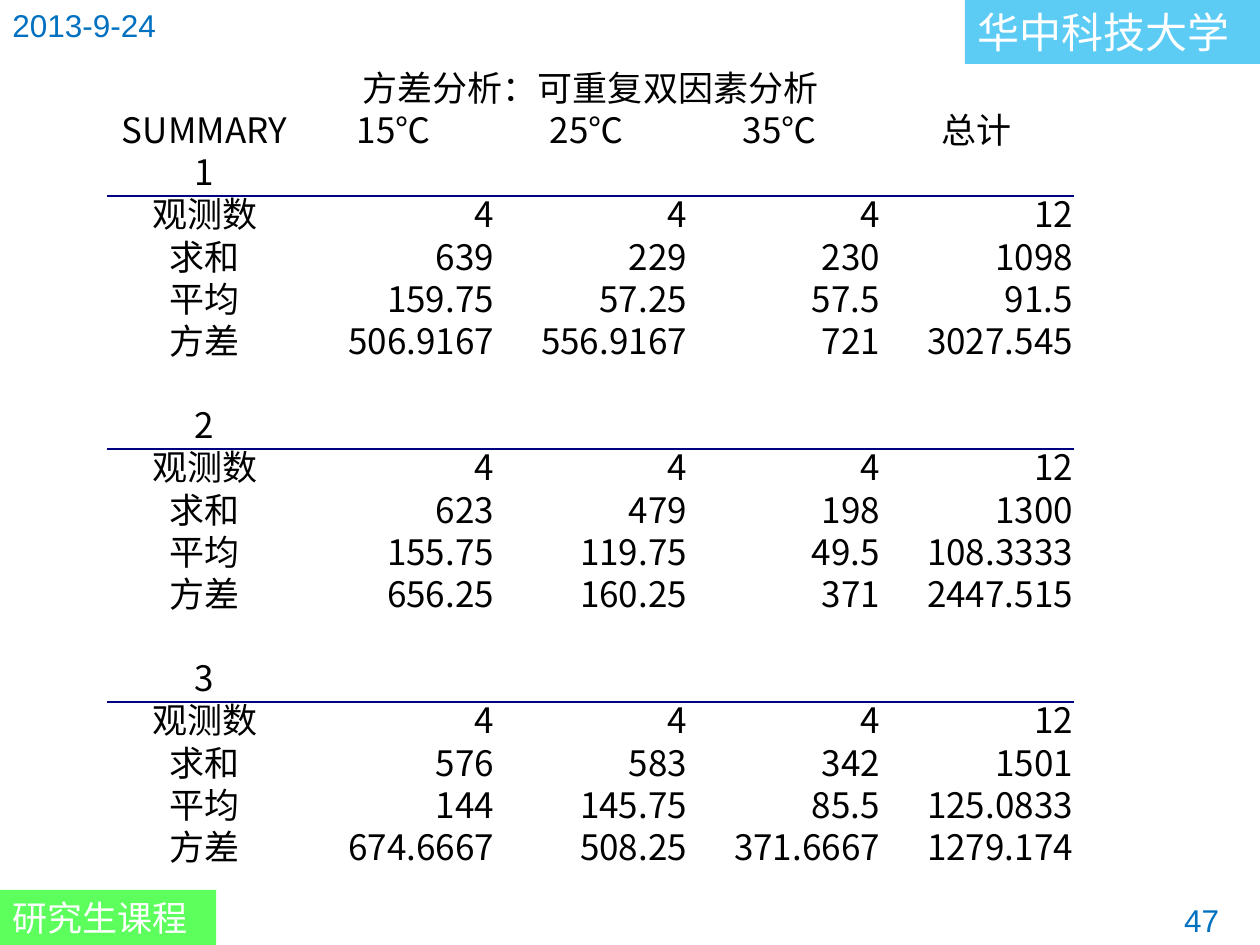
from lxml.etree import SubElement as Sub
from pptx import Presentation
from pptx.dml.color import RGBColor as RGB
from pptx.enum.shapes import MSO_SHAPE as Preset
from pptx.enum.text import MSO_ANCHOR as Anchor, PP_ALIGN as Align
from pptx.oxml import parse_xml
from pptx.oxml.ns import nsdecls, qn
from pptx.util import Cm, Pt

NAVY = "000080"
BLUE = "0070C0"
LABELS = ["观测数", "求和", "平均", "方差"]
GROUPS = [
    [["4", "4", "4", "12"],
     ["639", "229", "230", "1098"],
     ["159.75", "57.25", "57.5", "91.5"],
     ["506.9167", "556.9167", "721", "3027.545"]],
    [["4", "4", "4", "12"],
     ["623", "479", "198", "1300"],
     ["155.75", "119.75", "49.5", "108.3333"],
     ["656.25", "160.25", "371", "2447.515"]],
    [["4", "4", "4", "12"],
     ["576", "583", "342", "1501"],
     ["144", "145.75", "85.5", "125.0833"],
     ["674.6667", "508.25", "371.6667", "1279.174"]],
]


def colour(value):
    return RGB.from_string(value)


def write(frame, text, font="Arial", size=18, ink=BLUE, align=Align.LEFT, spacing=None):
    paragraph = frame.paragraphs[0]
    paragraph.alignment = align
    paragraph.line_spacing = spacing
    paragraph.font.size = Pt(size)
    run = paragraph.add_run()
    run.text = text
    run.font.name = font
    run.font.size = Pt(size)
    run.font.color.rgb = colour(ink)
    if font.startswith("Noto"):
        Sub(run.font._element, qn("a:ea"), typeface=font)


class Board:
    table_font = "Noto Sans CJK SC"
    banner_font = "Calibri"

    def __init__(self, slide):
        self.slide = slide

    def banner(self, text, left, top, width, height, fill, size):
        banner = self.slide.shapes.add_shape(
            Preset.RECTANGLE, Cm(left), Cm(top), Cm(width), Cm(height))
        banner.shadow.inherit = False
        banner.line.fill.background()
        banner.fill.solid()
        banner.fill.fore_color.rgb = colour(fill)
        tint = banner._element.spPr.find(qn("a:solidFill"))[0]
        Sub(tint, qn("a:alpha"), val="64000")
        banner.text_frame.vertical_anchor = Anchor.TOP
        write(banner.text_frame, text, font=self.banner_font, size=size, ink="FFFFFF")

    def label(self, text, left, top, width, height, wrap=True):
        label = self.slide.shapes.add_textbox(Cm(left), Cm(top), Cm(width), Cm(height))
        label.text_frame.word_wrap = wrap
        write(label.text_frame, text)

    def table(self, rows, left, top, column, pitch):
        count = len(rows[1])
        table = self.slide.shapes.add_table(
            len(rows), count, Cm(left), Cm(top), Cm(column * count), Cm(pitch * len(rows))).table
        table.first_row = table.horz_banding = False
        for line in table.columns:
            line.width = Cm(column)
        for line in table.rows:
            line.height = Cm(pitch)
        for r, values in enumerate(rows):
            for c in range(count):
                text = values[c] if c < len(values) else ""
                numeric = c > 0 and values[0] in LABELS
                self.cell(table.cell(r, c), text, Align.RIGHT if numeric else Align.CENTER)
        table.cell(0, 0).merge(table.cell(0, count - 1))
        return table

    def cell(self, cell, text, align):
        cell.fill.background()
        cell.vertical_anchor = Anchor.MIDDLE
        cell.margin_left = cell.margin_right = cell.margin_top = cell.margin_bottom = 0
        if text:
            write(cell.text_frame, text, font=self.table_font, size=20, ink="000000",
                  align=align, spacing=Pt(24))
        else:
            cell.text_frame.paragraphs[0].font.size = Pt(18)

    def rule_below(self, table, row):
        for c in range(len(table.columns)):
            for r, side in ((row, "lnB"), (row + 1, "lnT")):
                border = parse_xml(
                    f'<a:{side} {nsdecls("a")} w="12700"><a:solidFill>'
                    f'<a:srgbClr val="{NAVY}"/></a:solidFill></a:{side}>')
                table.cell(r, c)._tc.get_or_add_tcPr().insert(0, border)


def main():
    deck = Presentation()
    deck.slide_width, deck.slide_height = Cm(25.4), Cm(19.05)
    board = Board(deck.slides.add_slide(deck.slide_layouts[6]))

    board.banner("华中科技大学", 19.45, 0, 5.95, 1.29, "00B0F0", 24)
    board.banner("研究生课程", 0, 17.94, 4.36, 1.11, "00FF00", 20)
    board.label("47", 23.62, 18.03, 1.78, 1.02)
    board.label("2013-9-24", 0, 0, 3.73, 1.02, wrap=False)

    rows = [["方差分析：可重复双因素分析"], ["SUMMARY", "15℃ ", "25℃ ", "35℃ ", "总计"]]
    headings = []
    for number, group in enumerate(GROUPS, 1):
        if number > 1:
            rows.append([""])
        headings.append(len(rows))
        rows.append([str(number)])
        rows += [[label, *values] for label, values in zip(LABELS, group)]

    summary = board.table(rows, 2.18, 1.4, 3.89, 0.85)
    for heading in headings:
        board.rule_below(summary, heading)

    deck.save("out.pptx")


if __name__ == "__main__":
    main()
